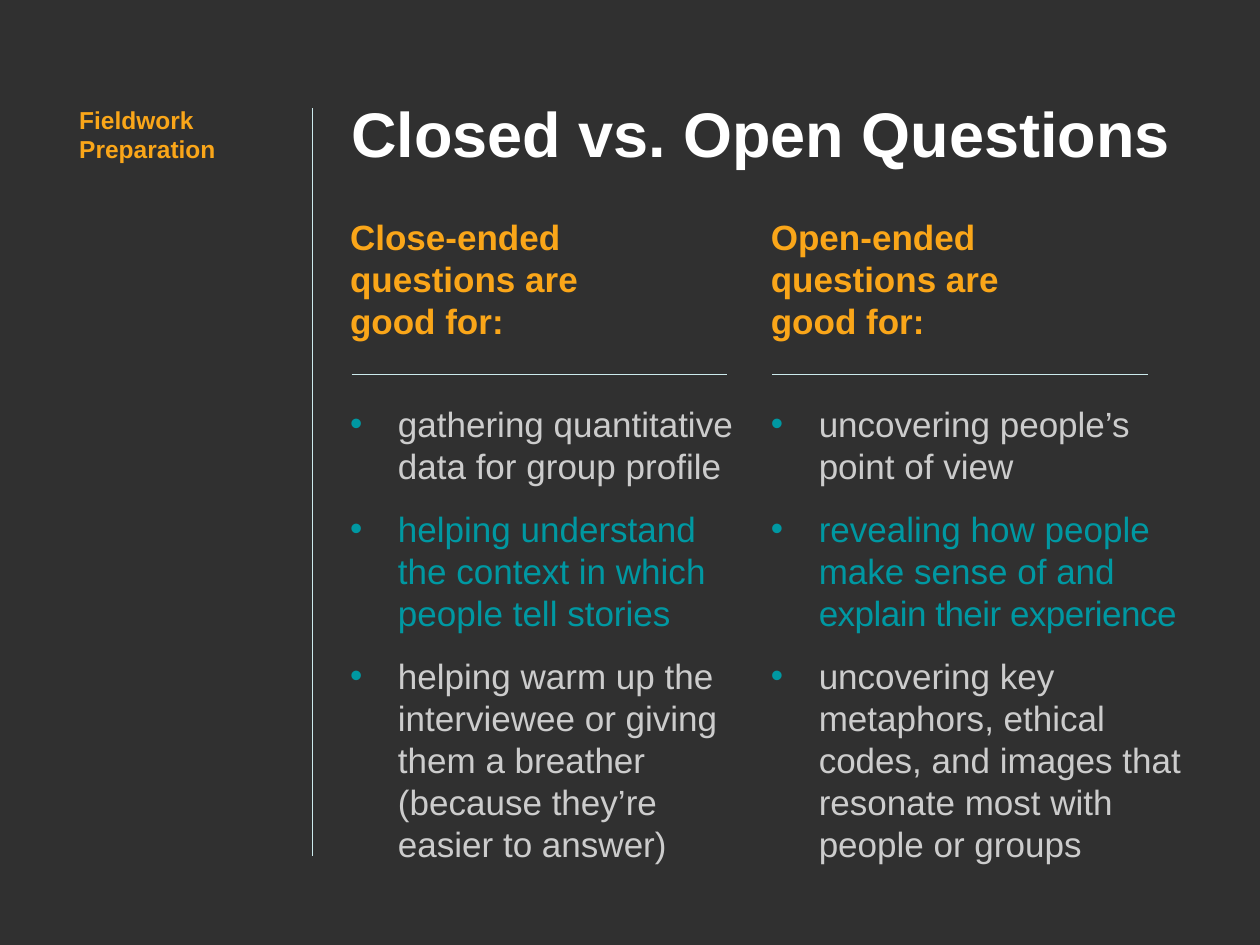
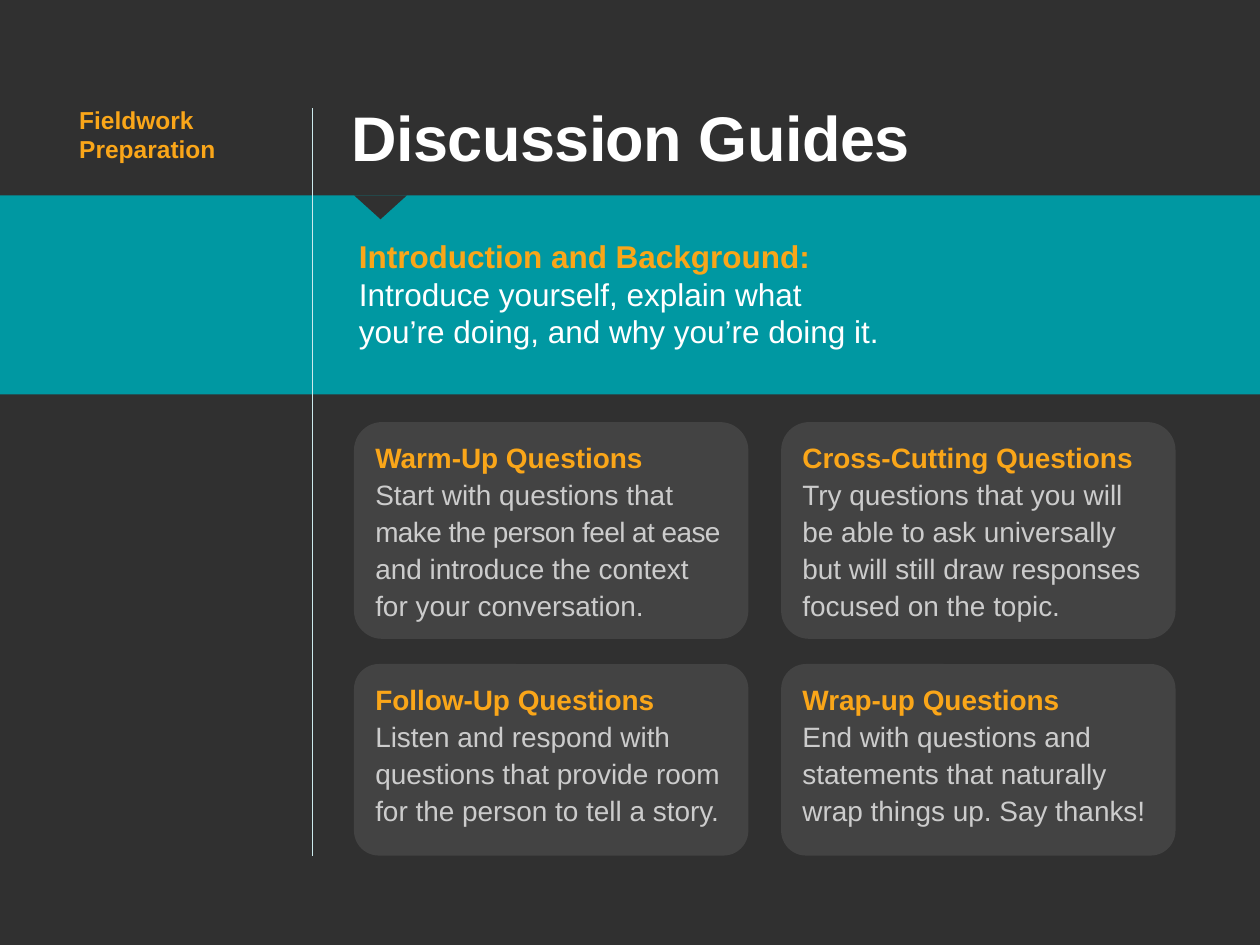
from lxml import etree
from pptx import Presentation
from pptx.dml.color import RGBColor
from pptx.enum.shapes import MSO_CONNECTOR, MSO_SHAPE
from pptx.oxml.ns import qn
from pptx.util import Emu, Pt

STRAIGHT = MSO_CONNECTOR.STRAIGHT
RECTANGLE = MSO_SHAPE.RECTANGLE
ROUNDED = MSO_SHAPE.ROUNDED_RECTANGLE
TRIANGLE = MSO_SHAPE.ISOSCELES_TRIANGLE

PX = 9144  # 100 px to the inch
FONT = "Arial"
DARK, CARD, TEAL = "303030", "434343", "0098A2"
ORANGE, GREY, WHITE, PALE = "FAA619", "CCCCCC", "FFFFFF", "CCEAEC"


def px(*lengths):
    return [Emu(length * PX) for length in lengths]


def rgb(value):
    return RGBColor.from_string(value)


class Deck:
    def __init__(self):
        self.prs = Presentation()
        self.prs.slide_width, self.prs.slide_height = px(1000, 750)
        self.slide = None

    def new_slide(self):
        self.slide = self.prs.slides.add_slide(self.prs.slide_layouts[6])
        fill = self.slide.background.fill
        fill.solid()
        fill.fore_color.rgb = rgb(DARK)

    def line(self, x1, y1, x2, y2):
        rule = self.slide.shapes.add_connector(STRAIGHT, *px(x1, y1, x2, y2))
        rule.line.color.rgb = rgb(PALE)
        rule.line.width = Pt(0.75)
        etree.SubElement(rule._element.spPr, qn("a:effectLst"))

    def shape(self, kind, box, color):
        block = self.slide.shapes.add_shape(kind, *px(*box))
        block.shadow.inherit = False
        block.fill.solid()
        block.fill.fore_color.rgb = rgb(color)
        block.line.fill.background()
        return block

    def text(self, box, size, *paragraphs, spacing=None):
        """Each paragraph is (text, colour, bold); returns the paragraphs."""
        frame = self.slide.shapes.add_textbox(*px(*box)).text_frame
        frame.word_wrap = True
        (frame.margin_left, frame.margin_top,
         frame.margin_right, frame.margin_bottom) = px(10, 10, 10, 10)
        for index, (words, color, bold) in enumerate(paragraphs):
            paragraph = frame.paragraphs[0] if index == 0 else frame.add_paragraph()
            if spacing:
                paragraph.line_spacing = spacing
            self.fill_paragraph(paragraph, words, size, color, bold)
        return frame.paragraphs

    def fill_paragraph(self, paragraph, words, size, color, bold):
        """Words between bars are set tighter; a newline breaks the line."""
        for number, row in enumerate(words.split("\n")):
            if number:
                paragraph.add_line_break()
            for part, piece in enumerate(row.split("|")):
                if not piece:
                    continue
                run = paragraph.add_run()
                run.text = piece
                run.font.name = FONT
                run.font.size = Pt(size)
                run.font.bold = bold
                run.font.color.rgb = rgb(color)
                if part % 2:
                    run._r.get_or_add_rPr().set("spc", "-30")

    def bullet(self, paragraph, space_before):
        paragraph.space_before = Pt(space_before)
        props = paragraph._p.get_or_add_pPr()
        indent = 38 * PX
        props.set("marL", str(indent))
        props.set("indent", str(-indent))
        color = etree.SubElement(props, qn("a:buClr"))
        etree.SubElement(color, qn("a:srgbClr"), val=TEAL)
        etree.SubElement(props, qn("a:buFont"), typeface=FONT)
        etree.SubElement(props, qn("a:buChar"), char="•")

    def frame(self, title, top):
        """Section label, divider and title shared by all slides."""
        self.line(248, 86, 248, 679)
        self.text((53, 73, 179, 67), 14, ("Fieldwork Preparation", ORANGE, True))
        self.text((269, top, 697, 83), 36, (title, WHITE, True))

    def column(self, left, width, heading, points):
        colors = (GREY, TEAL, GREY)
        paragraphs = self.text(
            (left, 161, width, 517), 20, (heading, ORANGE, True),
            *((point, color, False) for point, color in zip(points, colors)))
        for index, paragraph in enumerate(paragraphs[1:]):
            self.bullet(paragraph, 12 if index else 35)
        self.line(left + 11, 297, left + 309, 297)

    def card(self, left, top, height, heading, words):
        block = self.shape(ROUNDED, (left, top, 313, height), CARD)
        block.adjustments[0] = 0.13
        self.text((left + 7, top + 2, 299, height - 5), 16,
                  (heading, ORANGE, True), (words, GREY, False), spacing=1.1)


def closed_vs_open(deck):
    deck.new_slide()
    deck.frame("Closed vs. Open Questions", 65)
    deck.column(268, 332, "Close-ended\nquestions are\ngood for:", (
        "gathering quantitative data for group profile",
        "helping understand the context in which people tell stories",
        "helping warm up the interviewee or giving them a breather "
        "(because they’re easier to answer)"))
    deck.column(602, 347, "Open-ended\nquestions are\ngood for:", (
        "uncovering people’s point of view",
        "revealing how people make sense of and |explain their experience|",
        "uncovering key metaphors, ethical codes, and images that "
        "resonate most with people or groups"))


def discussion_guides(deck):
    deck.new_slide()

    # Introduction band with its notch
    deck.shape(RECTANGLE, (0, 155, 1000, 158), TEAL)
    deck.shape(TRIANGLE, (281, 155, 42, 19), DARK).rotation = 180
    deck.frame("|Discussion Guides|", 68)
    deck.text((275, 178, 640, 111), 18,
              ("Introduction and Background:", ORANGE, True),
              ("Introduce yourself, explain what\n"
               "you’re doing, and why you’re doing it.", WHITE, False))

    # Question cards, two by two
    rows = (
        (335, 172, (
            ("Warm-Up Questions",
             "Start with questions that |make the person feel at ease |"
             "and introduce the context for your conversation."),
            ("Cross-Cutting Questions",
             "Try questions that you will be able to ask universally but "
             "will still draw responses focused on the topic."))),
        (527, 152, (
            ("Follow-Up Questions",
             "Listen and respond with questions that provide room for the "
             "person to tell a story."),
            ("Wrap-up Questions",
             "End with questions and statements that naturally wrap things "
             "up. Say thanks!"))),
    )
    for top, height, cards in rows:
        for left, (heading, words) in zip((281, 620), cards):
            deck.card(left, top, height, heading, words)


def main():
    deck = Deck()
    closed_vs_open(deck)
    discussion_guides(deck)
    deck.prs.save("out.pptx")


if __name__ == "__main__":
    main()
